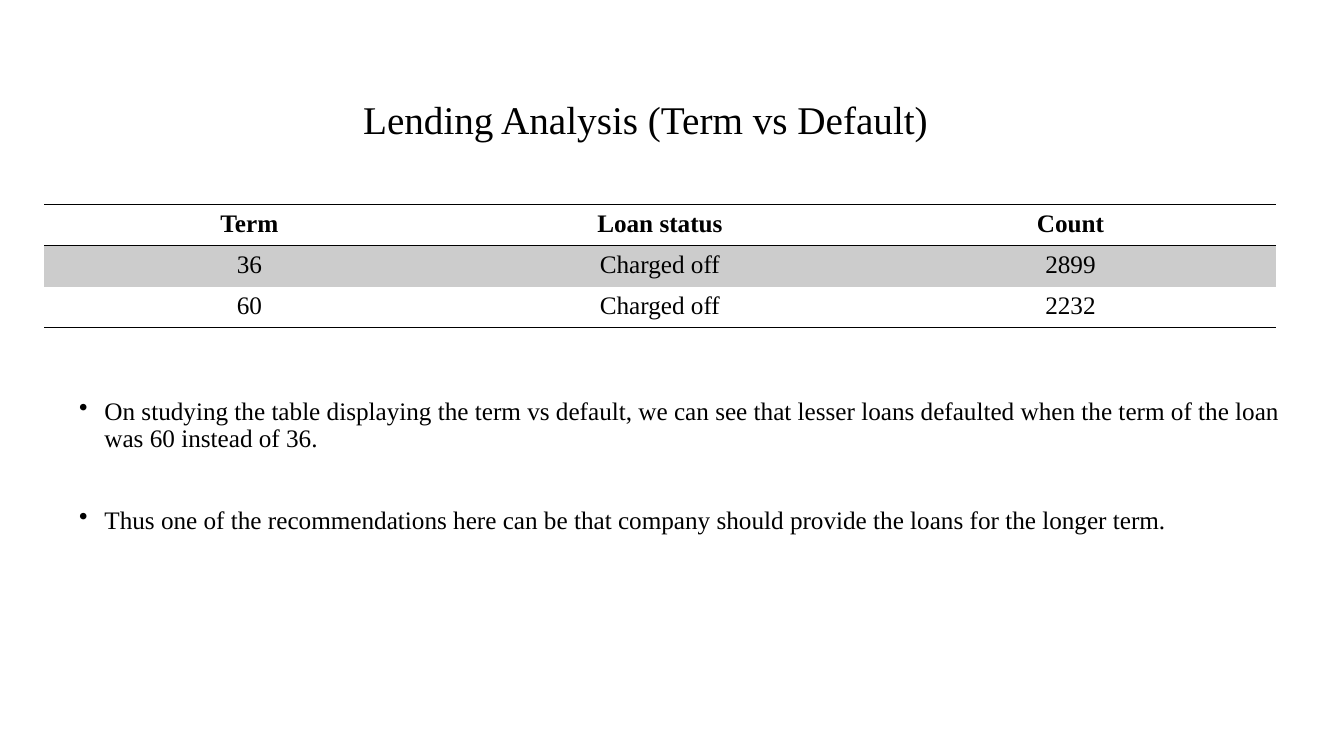
"""Build the lending analysis slide: a title, a table and two bullets."""
from dataclasses import dataclass

from lxml.etree import SubElement
from pptx import Presentation
from pptx.dml.color import RGBColor
from pptx.enum.text import MSO_ANCHOR, PP_ALIGN
from pptx.oxml.ns import qn
from pptx.util import Emu, Pt


@dataclass(frozen=True)
class Theme:
    """Colours, font and type sizes of the slide."""
    font: str = "Times New Roman"
    ink: str = "000000"
    band: str = "CCCCCC"
    title_size: int = 28
    text_size: int = 18


THEME = Theme()
PLAIN_TABLE_STYLE = "{2D5ABB26-0587-4C30-8999-92F81FD0307C}"
LOANS = [
    ("Term", "Loan status", "Count"),
    ("36", "Charged off", "2899"),
    ("60", "Charged off", "2232"),
]
FINDINGS = [
    ("On studying the table displaying the term vs default, we can see that lesser "
     "loans defaulted when the term of the loan was 60 instead of 36.", 10),
    ("Thus one of the recommendations here can be that company should provide the "
     "loans for the longer term.", 39),
]


def px(length):
    """Turn pixels into EMU."""
    return Emu(length * 9525)


def style_paragraph(paragraph, size, bold=False):
    """Set the font of a whole paragraph."""
    font = paragraph.font
    font.name = THEME.font
    font.size = Pt(size)
    font.bold = bold
    font.color.rgb = RGBColor.from_string(THEME.ink)


def add_text_box(page, left, top, width, height):
    """Add a wrapping text box and return its text frame."""
    box = page.shapes.add_textbox(px(left), px(top), px(width), px(height))
    box.text_frame.word_wrap = True
    return box.text_frame


def add_title(page, text):
    """Add the centred title."""
    frame = add_text_box(page, 119, 67, 978, 90)
    frame.vertical_anchor = MSO_ANCHOR.MIDDLE
    frame.margin_left = px(23)
    frame.margin_top = px(13)
    paragraph = frame.paragraphs[0]
    paragraph.text = text
    paragraph.alignment = PP_ALIGN.CENTER
    paragraph.line_spacing = 0.9
    style_paragraph(paragraph, THEME.title_size)


def add_border(cell, side):
    """Draw a one-point line on one side of a cell."""
    line = SubElement(cell._tc.get_or_add_tcPr(), qn(f"a:{side}"), w=str(Pt(1)))
    fill = SubElement(line, qn("a:solidFill"))
    SubElement(fill, qn("a:srgbClr"), val=THEME.ink)


def add_loan_table(page, rows):
    """Add the ruled table with a bold header and grey odd rows."""
    column_width, row_height = 391, 39
    row_count, column_count = len(rows), len(rows[0])
    table = page.shapes.add_table(
        row_count, column_count, px(42), px(195),
        px(column_width * column_count), px(row_height * row_count)).table
    table._tbl.tblPr.find(qn("a:tableStyleId")).text = PLAIN_TABLE_STYLE
    for row, values in enumerate(rows):
        for column, value in enumerate(values):
            cell = table.cell(row, column)
            cell.text = value
            paragraph = cell.text_frame.paragraphs[0]
            paragraph.alignment = PP_ALIGN.CENTER
            style_paragraph(paragraph, THEME.text_size, bold=row == 0)
            if row == 0:
                add_border(cell, "lnT")
            if row in (0, row_count - 1):
                add_border(cell, "lnB")
            if row % 2:
                cell.fill.solid()
                cell.fill.fore_color.rgb = RGBColor.from_string(THEME.band)
            else:
                cell.fill.background()


def add_bullets(page, findings):
    """Add the bulleted findings, each with its own space before."""
    frame = add_text_box(page, 66, 375, 1172, 456)
    for index, (text, space) in enumerate(findings):
        paragraph = frame.add_paragraph() if index else frame.paragraphs[0]
        paragraph.text = text
        paragraph.line_spacing = 0.9
        paragraph.space_before = Pt(space)
        style_paragraph(paragraph, THEME.text_size)
        properties = paragraph._p.get_or_add_pPr()
        properties.set("marL", str(px(24)))
        properties.set("indent", str(px(-24)))
        bullet = properties.makeelement(qn("a:buChar"), {"char": "•"})
        properties.find(qn("a:defRPr")).addprevious(bullet)


def main():
    """Build and save the deck."""
    deck = Presentation()
    deck.slide_width, deck.slide_height = px(1280), px(720)
    page = deck.slides.add_slide(deck.slide_layouts[6])
    add_loan_table(page, LOANS)
    add_title(page, "Lending Analysis (Term vs Default)")
    add_bullets(page, FINDINGS)
    deck.save("out.pptx")


if __name__ == "__main__":
    main()
